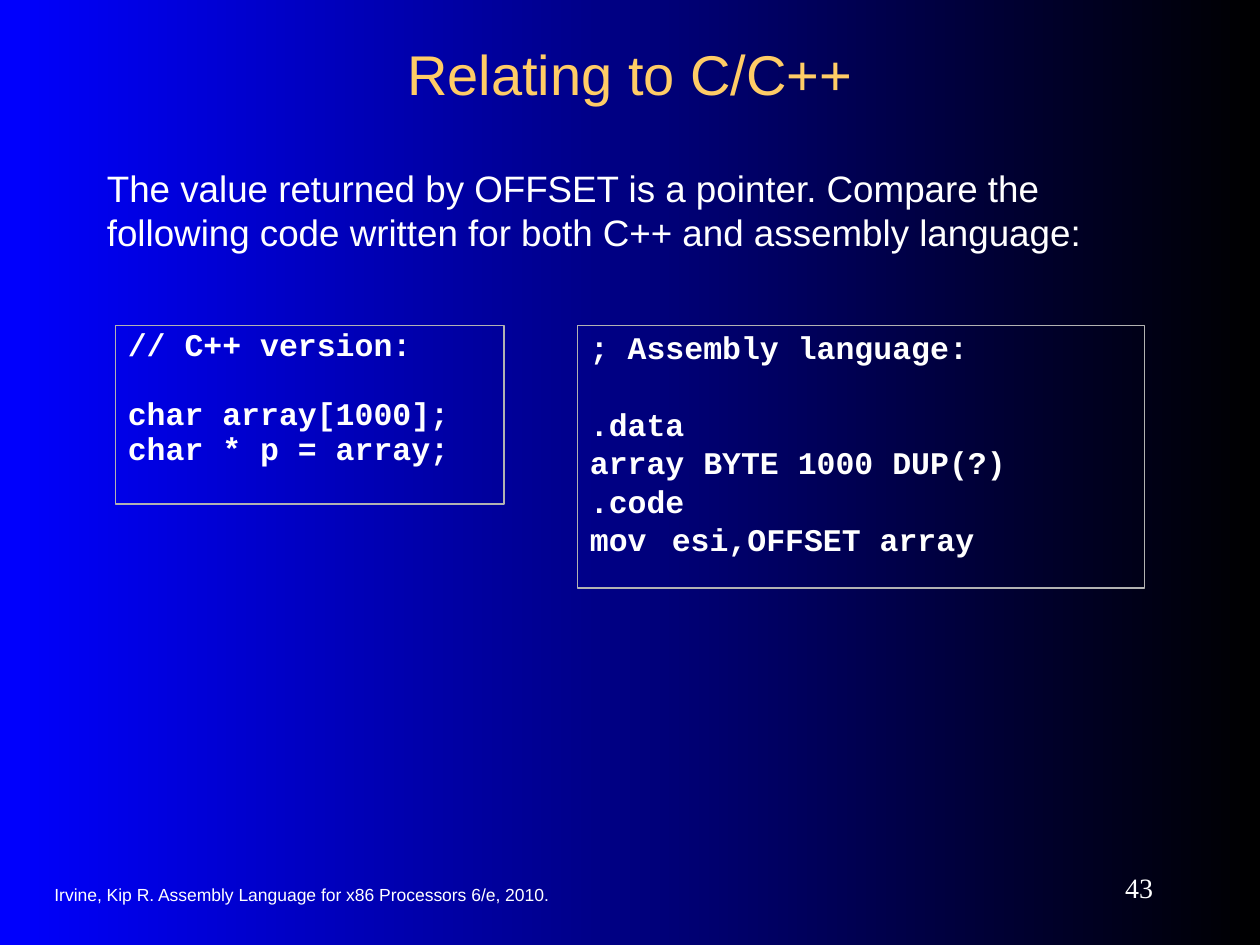
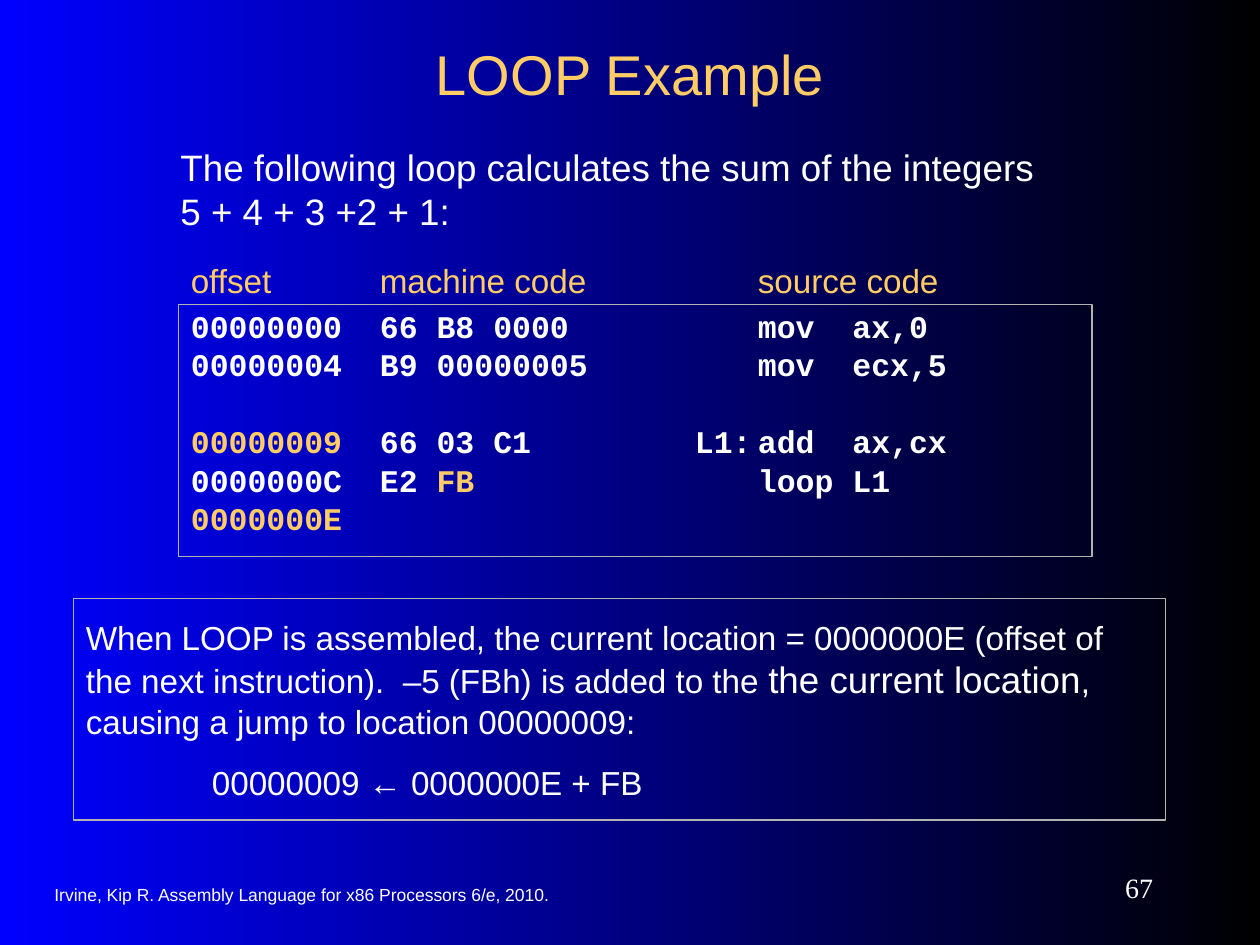
import pptx
import pptx.util
import pptx.dml.color
import pptx.enum.shapes
import pptx.enum.text
import pptx.oxml
import pptx.oxml.ns
from dataclasses import dataclass

Pt = pptx.util.Pt
Inches = pptx.util.Inches
Align = pptx.enum.text.PP_ALIGN
Anchor = pptx.enum.text.MSO_ANCHOR
AutoSize = pptx.enum.text.MSO_AUTO_SIZE

# Places are (column, row, columns, rows) on a grid of 120 x 90 cells.
GRID_COLUMNS, GRID_ROWS = 120, 90
SLIDE_WIDTH, SLIDE_HEIGHT = Inches(10), Inches(7.5)

FOOTER = "Irvine, Kip R. Assembly Language for x86 Processors 6/e, 2010."
FOOTER_PLACE = (4, 83.2, 63, 4)
NUMBER_PLACE = (98, 82, 13, 5)
TITLE_PLACE = (9, 3, 102, 8)

# "|" switches a block's accent on and off; an empty line is a one-line gap.
SLIDES = [
    {
        "title": "Relating to C/C++",
        "number": "43",
        "blocks": [
            {"style": "lead", "place": (9, 14, 101, 12), "lines": [
                "The value returned by OFFSET is a pointer. Compare the following "
                "code written for both C++ and assembly language:"]},
            {"style": "dense_code", "place": (11, 31, 37, 17), "lines": [
                "// C++ version:",
                "",
                "char array[1000];",
                "char * p = array;"]},
            {"style": "code", "place": (55, 31, 54, 25), "tabs": [0.65], "lines": [
                "; Assembly language:",
                "",
                ".data",
                "array BYTE 1000 DUP(?)",
                ".code",
                "mov\tesi,OFFSET array"]},
        ],
    },
    {
        "title": "LOOP Example",
        "number": "67",
        "blocks": [
            {"style": "lead", "place": (16, 12, 86, 12), "lines": [
                "The following loop calculates the sum of the integers 5 + 4 + 3 +2 + 1:"]},
            {"style": "headings", "place": (17, 23, 85, 7.4), "tabs": [1.5, 4.5],
             "lines": ["offset\tmachine code\tsource code"]},
            {"style": "code", "place": (17, 29, 87, 24), "tabs": [1.5, 4, 4.5, 5.25],
             "lines": [
                "00000000\t66 B8 0000\t\tmov\tax,0",
                "00000004\tB9 00000005\t\tmov\tecx,5",
                "",
                "|00000009|\t66 03 C1\tL1:\tadd\tax,cx",
                "0000000C\tE2 |FB|\t\tloop\tL1",
                "|0000000E|"]},
            {"style": "note", "place": (7, 57, 104, 21.1), "indents": [0, 1], "lines": [
                "When LOOP is assembled, the current location = 0000000E (offset of the "
                "next instruction).  –5 (FBh) is added to the |the current location|, "
                "causing a jump to location 00000009:",
                "00000009 ← 0000000E + FB"]},
        ],
    },
]


def rgb(code):
    return pptx.dml.color.RGBColor.from_string(code)


@dataclass(frozen=True)
class Theme:
    left = rgb("0000FF")
    right = rgb("000000")
    text = rgb("FFFFFF")
    accent = rgb("FFCC66")
    border = rgb("B2B2B2")
    sans = "Arial"
    mono = "Courier New"
    serif = "Times New Roman"
    border_width = Pt(0.75)
    line_height = 1.2


THEME = Theme()


@dataclass(frozen=True)
class Style:
    size: float
    face: str = THEME.sans
    color: object = THEME.text
    bold: bool = False
    align: object = Align.LEFT
    anchor: object = Anchor.TOP
    before: float = 0
    spacing: float = 1
    margins: tuple = (0.15, 0.15)
    framed: bool = False
    grows: bool = False
    accent_color: object = None
    accent_size: float = 0


def code_style(spacing):
    return Style(18, THEME.mono, bold=True, before=11.2, spacing=spacing,
                 margins=(0.15, 0.25), framed=True, accent_color=THEME.accent)


LABEL = {"anchor": Anchor.MIDDLE, "margins": (0.05, 0.05)}
STYLES = {
    "title": Style(32, color=THEME.accent, align=Align.CENTER, **LABEL),
    "footer": Style(10, **LABEL),
    "number": Style(16, THEME.serif, align=Align.RIGHT, **LABEL),
    "lead": Style(21, before=13.1, grows=True),
    "headings": Style(19, color=THEME.accent, before=11.9, grows=True),
    "note": Style(19, before=11.9, framed=True, grows=True, accent_size=21),
    "code": code_style(0.5),
    "dense_code": code_style(0.4),
}


def on_grid(place):
    column, row, columns, rows = place
    cell_width, cell_height = SLIDE_WIDTH / GRID_COLUMNS, SLIDE_HEIGHT / GRID_ROWS
    return [round(n) for n in (column * cell_width, row * cell_height,
                               columns * cell_width, rows * cell_height)]


def set_layout(paragraph, tabs, indent):
    """Give the paragraph left tab stops and a left indent, in inches."""
    properties = paragraph._p.get_or_add_pPr()
    if indent:
        properties.set("marL", str(Inches(indent)))
        properties.set("indent", "0")
    if tabs:
        stops = "".join(f'<a:tab pos="{Inches(tab)}" algn="l"/>' for tab in tabs)
        tab_list = pptx.oxml.parse_xml(
            f'<a:tabLst {pptx.oxml.ns.nsdecls("a")}>{stops}</a:tabLst>')
        defaults = properties.find(pptx.oxml.ns.qn("a:defRPr"))
        defaults.addprevious(tab_list)


def write_line(paragraph, line, style, gap):
    paragraph.alignment = style.align
    paragraph.line_spacing = style.spacing
    paragraph.space_before = Pt(style.before + gap)
    font = paragraph.font
    font.name, font.size, font.bold = style.face, Pt(style.size), style.bold
    font.color.rgb = style.color
    for position, words in enumerate(line.split("|")):
        if not words:
            continue
        run = paragraph.add_run()
        run.text = words
        if position % 2 and style.accent_color:
            run.font.color.rgb = style.accent_color
        if position % 2 and style.accent_size:
            run.font.size = Pt(style.accent_size)


def fill_frame(frame, style, lines, tabs=(), indents=()):
    frame.word_wrap = True
    frame.auto_size = AutoSize.SHAPE_TO_FIT_TEXT if style.grows else AutoSize.NONE
    frame.vertical_anchor = style.anchor
    frame.margin_left = frame.margin_right = Inches(0.1)
    frame.margin_top, frame.margin_bottom = map(Inches, style.margins)
    pitch = style.before + style.spacing * style.size * THEME.line_height
    gap, written = 0, 0
    for line in lines:
        if not line:
            gap += pitch
            continue
        paragraph = frame.add_paragraph() if written else frame.paragraphs[0]
        write_line(paragraph, line, style, gap)
        set_layout(paragraph, tabs, indents[written] if indents else 0)
        gap, written = 0, written + 1


def add_block(slide, style, place, lines, tabs=(), indents=()):
    style = STYLES[style]
    if style.framed:
        block = slide.shapes.add_shape(
            pptx.enum.shapes.MSO_SHAPE.RECTANGLE, *on_grid(place))
        block.shadow.inherit = False
        block.fill.background()
        block.line.color.rgb = THEME.border
        block.line.width = THEME.border_width
    else:
        block = slide.shapes.add_textbox(*on_grid(place))
    fill_frame(block.text_frame, style, lines, tabs, indents)


def paint_background(master):
    fill = master.background.fill
    fill.gradient()
    fill.gradient_angle = 0
    for stop, color in zip(fill.gradient_stops, (THEME.left, THEME.right)):
        stop.color.rgb = color


def add_slide(deck, content):
    slide = deck.slides.add_slide(deck.slide_layouts.get_by_name("Title Only"))
    title = slide.shapes.title
    title.left, title.top, title.width, title.height = on_grid(TITLE_PLACE)
    fill_frame(title.text_frame, STYLES["title"], [content["title"]])
    add_block(slide, "footer", FOOTER_PLACE, [FOOTER])
    add_block(slide, "number", NUMBER_PLACE, [content["number"]])
    for block in content["blocks"]:
        add_block(slide, **block)


def main():
    deck = pptx.Presentation()
    deck.slide_width, deck.slide_height = SLIDE_WIDTH, SLIDE_HEIGHT
    paint_background(deck.slide_master)
    for content in SLIDES:
        add_slide(deck, content)
    deck.save("out.pptx")


if __name__ == "__main__":
    main()
